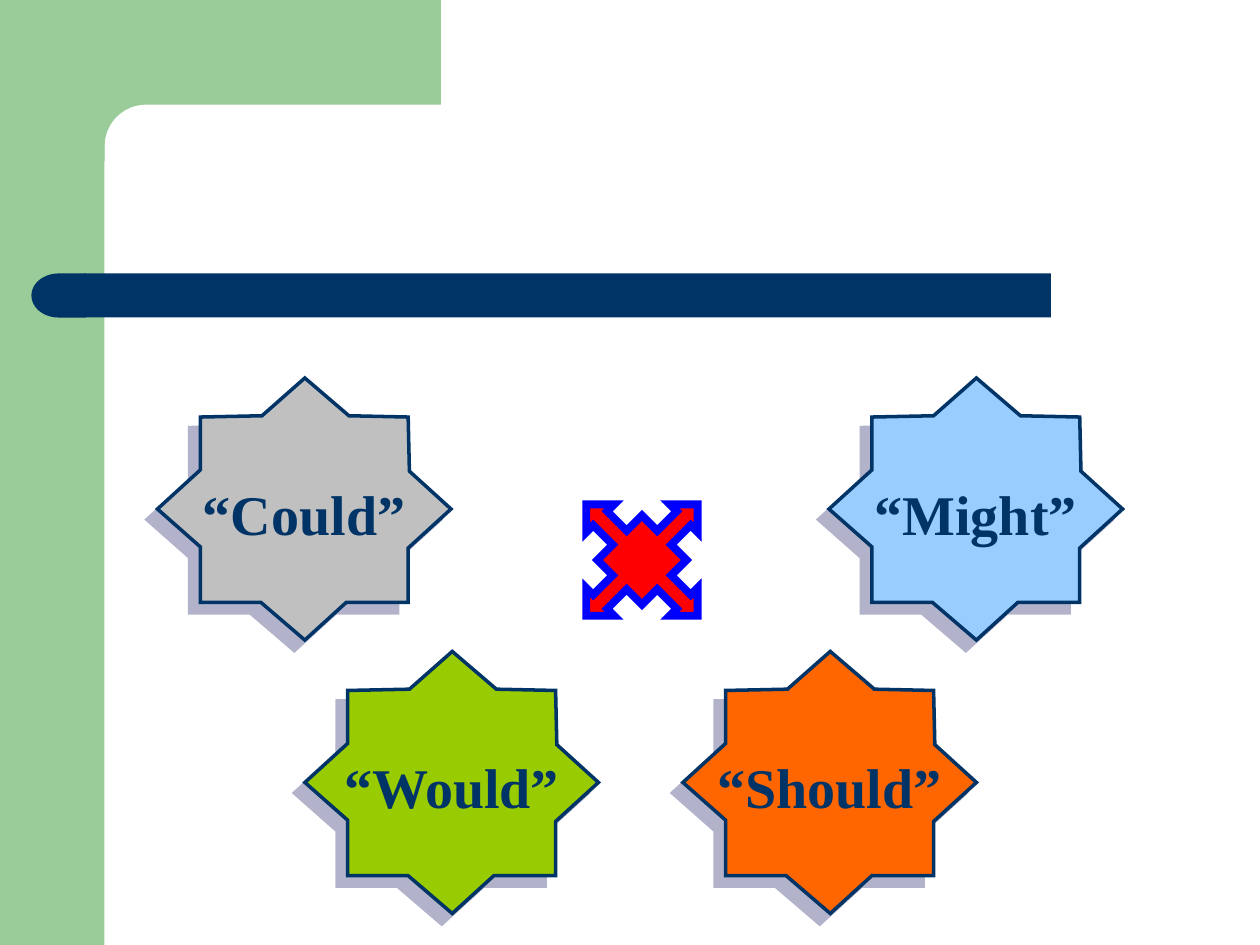
import math

import lxml.etree
import pptx
import pptx.dml.color
import pptx.enum.shapes
import pptx.enum.text
import pptx.oxml.ns
import pptx.util

Inches = pptx.util.Inches
Pt = pptx.util.Pt
qn = pptx.oxml.ns.qn
PRESET = pptx.enum.shapes.MSO_SHAPE

COLORS = {
    "band": "99CC99",
    "navy": "003366",
    "could": "C0C0C0",
    "would": "99CC00",
    "should": "FF6600",
    "might": "99CCFF",
    "shadow": "666699",
    "cross": "FF0000",
    "cross_edge": "0000FF",
}
FONT = "Times New Roman"
STAR_WIDTH, STAR_HEIGHT = 2.33, 2.08
STAR_POINTS = [
    (0, 1.04), (0.34, 1.34), (0.34, 1.78), (0.82, 1.78),
    (1.17, 2.08), (1.5, 1.78), (1.99, 1.78), (1.99, 1.35),
    (2.33, 1.04), (2, 0.74), (1.99, 0.31), (1.52, 0.3),
    (1.17, 0), (0.83, 0.3), (0.34, 0.31), (0.34, 0.73),
]
STARS = [
    ("“Could”", "could", 1.25, 3),
    ("“Would”", "would", 2.42, 5.17),
    ("“Should”", "should", 5.42, 5.17),
    ("“Might”", "might", 6.58, 3),
]


def rgb(name):
    return pptx.dml.color.RGBColor.from_string(COLORS[name])


def paint(shape, fill, edge=None, weight=0):
    shape.shadow.inherit = False
    shape.fill.solid()
    shape.fill.fore_color.rgb = rgb(fill)
    if edge is None:
        shape.line.fill.background()
        return
    shape.line.color.rgb = rgb(edge)
    shape.line.width = Pt(weight)
    outline = shape.element.spPr.find(qn("a:ln"))
    lxml.etree.SubElement(outline, qn("a:miter"), lim="800000")


def add_preset(shapes, kind, left, top, width, height):
    return shapes.add_shape(
        kind, Inches(left), Inches(top), Inches(width), Inches(height)
    )


def add_outline(shapes, points, left=0, top=0):
    placed = [(Inches(left + x), Inches(top + y)) for x, y in points]
    builder = shapes.build_freeform(*placed[0])
    builder.add_line_segments(placed[1:], close=True)
    return builder.convert_to_shape()


def cast_shadow(shape):
    effects = shape.element.spPr.find(qn("a:effectLst"))
    shadow = lxml.etree.SubElement(
        effects, qn("a:outerShdw"), blurRad="0", dist=str(Pt(8.5)),
        dir=str(135 * 60000), algn="ctr", rotWithShape="0",
    )
    tint = lxml.etree.SubElement(shadow, qn("a:srgbClr"), val=COLORS["shadow"])
    lxml.etree.SubElement(tint, qn("a:alpha"), val="50000")


def add_frame(slide, width, height):
    shapes = slide.shapes.add_group_shape().shapes
    band_width, corner_radius = 0.83, 0.33
    paint(add_preset(shapes, PRESET.RECTANGLE, 0, 0, band_width, height), "band")

    center = band_width + corner_radius
    angles = [math.radians(270 - step * 7.5) for step in range(13)]
    curve = [
        (center + corner_radius * math.cos(a), center + corner_radius * math.sin(a))
        for a in angles
    ]
    corner = [(0.5, 0), (3.5, 0), (3.5, band_width), *curve,
              (band_width, 1.28), (0.5, 1.28)]
    paint(add_outline(shapes, corner), "band")

    bar_top, bar_height = 2.17, 0.35
    bar = add_preset(shapes, PRESET.RECTANGLE, 0.67, bar_top, width - 2.33, bar_height)
    paint(bar, "navy")
    cap = add_preset(shapes, PRESET.FLOWCHART_DELAY, 0.25, bar_top, 0.43, bar_height)
    cap.element.spPr.find(qn("a:xfrm")).set("flipH", "1")
    paint(cap, "navy")


def add_star(slide, word, fill, left, top):
    shapes = slide.shapes.add_group_shape().shapes
    star = add_outline(shapes, STAR_POINTS, left, top)
    paint(star, fill, "navy", 2)
    cast_shadow(star)

    overhang = 0.07
    label = shapes.add_textbox(
        Inches(left - overhang), Inches(top + 0.75),
        Inches(STAR_WIDTH + 2 * overhang), Inches(0.64),
    )
    frame = label.text_frame
    frame.word_wrap = True
    frame.vertical_anchor = pptx.enum.text.MSO_ANCHOR.MIDDLE
    frame.text = word
    paragraph = frame.paragraphs[0]
    paragraph.alignment = pptx.enum.text.PP_ALIGN.CENTER
    font = paragraph.runs[0].font
    font.name = FONT
    font.size = Pt(32)
    font.bold = True
    font.color.rgb = rgb("navy")


def add_cross(slide, left, top, size):
    cross = add_preset(
        slide.shapes, PRESET.QUAD_ARROW_CALLOUT, left, top, size, size
    )
    for index, share in enumerate((0.125, 0.125, 0.125, 0.4)):
        cross.adjustments[index] = share
    cross.rotation = 45
    paint(cross, "cross", "cross_edge", 4.5)


def main():
    presentation = pptx.Presentation()
    width, height = 10, 7.5
    presentation.slide_width = Inches(width)
    presentation.slide_height = Inches(height)
    slide = presentation.slides.add_slide(presentation.slide_layouts[6])
    add_frame(slide, width, height)
    for word, fill, left, top in STARS:
        add_star(slide, word, fill, left, top)
    add_cross(slide, 4.47, 3.82, 1.25)
    presentation.save("out.pptx")


if __name__ == "__main__":
    main()
